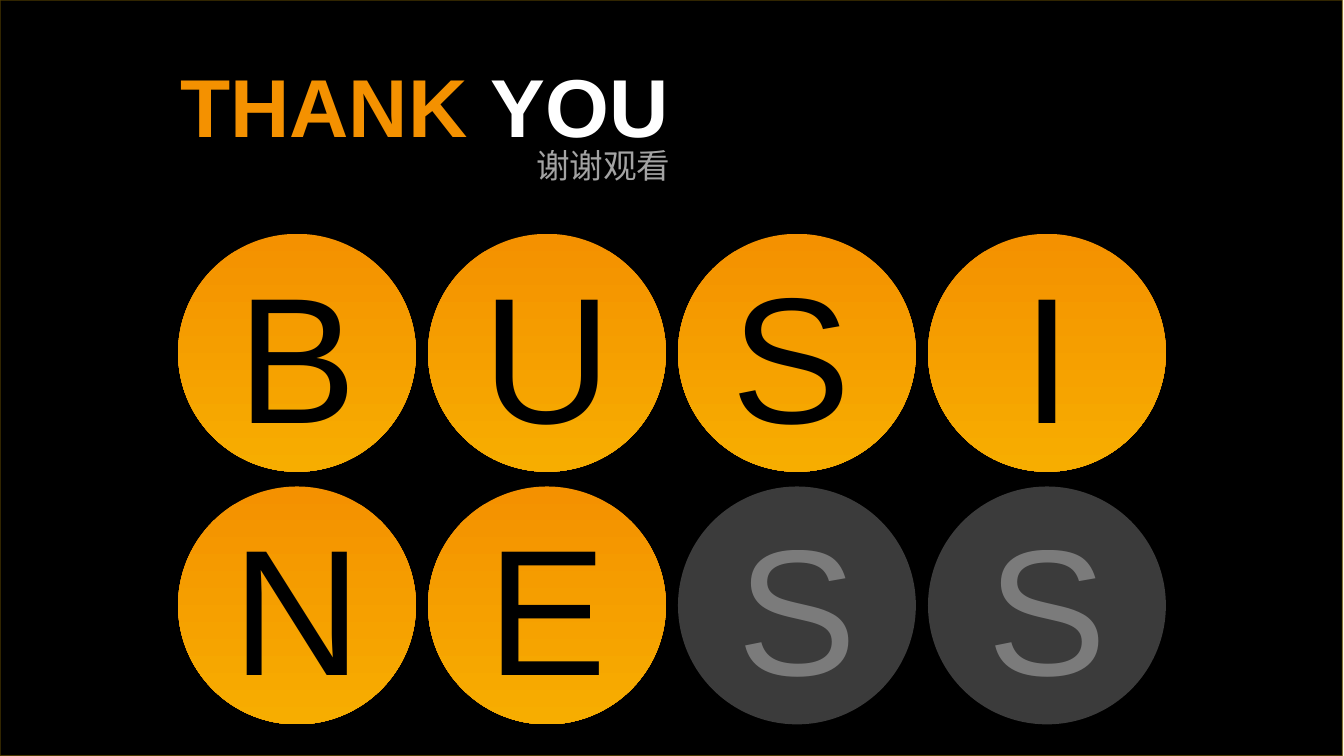
from lxml import etree
from pptx import Presentation
from pptx.dml.color import RGBColor
from pptx.enum.shapes import MSO_SHAPE
from pptx.enum.text import MSO_ANCHOR, MSO_AUTO_SIZE, PP_ALIGN
from pptx.oxml.ns import qn
from pptx.util import Inches, Pt

RECTANGLE, OVAL = MSO_SHAPE.RECTANGLE, MSO_SHAPE.OVAL
TOP = MSO_ANCHOR.TOP
GROW = MSO_AUTO_SIZE.SHAPE_TO_FIT_TEXT
LEFT, CENTER = PP_ALIGN.LEFT, PP_ALIGN.CENTER

BLACK = RGBColor(0x00, 0x00, 0x00)
WHITE = RGBColor(0xFF, 0xFF, 0xFF)
ORANGE = RGBColor(0xF4, 0x91, 0x00)
AMBER = RGBColor(0xF7, 0xAD, 0x00)
GOLD = RGBColor(0xFF, 0xC0, 0x00)

TITLE_RUNS = [("THANK ", ORANGE), ("YOU", WHITE)]
SUBTITLE_RUNS = [("谢谢观看", WHITE)]
LETTER_ROWS = [
    [("B", True), ("U", True), ("S", True), ("I", True)],
    [("N", True), ("E", True), ("S", False), ("S", False)],
]
LETTER_WIDTHS = {"B": 1.1, "U": 1.18, "S": 1.1, "I": 0.58, "N": 1.17, "E": 1.1}
LETTER_SHIFTS = {(0, 2): -0.04}

SLIDE_WIDTH = 10
SLIDE_HEIGHT = SLIDE_WIDTH * 9 / 16
DIAMETER = 1.77
LETTER_HEIGHT = 1.72
COLUMN_STEP, ROW_STEP = 1.86, 1.88
GRID_LEFT = (SLIDE_WIDTH - 3 * COLUMN_STEP - DIAMETER) / 2
GRID_TOP = 1.74


def set_alpha(properties, percent):
    color = properties.find(qn("a:solidFill"))[0]
    etree.SubElement(color, qn("a:alpha")).set("val", str(percent * 1000))


def write(shape, runs, size, font_name, alignment=LEFT, bold=False, alpha=None):
    frame = shape.text_frame
    frame.word_wrap = False
    frame.auto_size = GROW
    frame.vertical_anchor = TOP
    paragraph = frame.paragraphs[0]
    paragraph.alignment = alignment
    for text, color in runs:
        run = paragraph.add_run()
        run.text = text
        run.font.size = Pt(size)
        run.font.name = font_name
        run.font.bold = bold
        run.font.color.rgb = color
        properties = run._r.get_or_add_rPr()
        etree.SubElement(properties, qn("a:ea")).set("typeface", font_name)
        if alpha is not None:
            set_alpha(properties, alpha)


def add_text(slide, box, *arguments, **options):
    shape = slide.shapes.add_textbox(*map(Inches, box))
    write(shape, *arguments, **options)


def add_plain_shape(slide, kind, box):
    shape = slide.shapes.add_shape(kind, *map(Inches, box))
    shape.shadow.inherit = False
    return shape


def add_circle(slide, left, top, lit):
    circle = add_plain_shape(slide, OVAL, (left, top, DIAMETER, DIAMETER))
    circle.line.fill.background()
    if lit:
        circle.fill.gradient()
        circle.fill.gradient_angle = 270
        for stop, color in zip(circle.fill.gradient_stops, (ORANGE, AMBER)):
            stop.color.rgb = color
    else:
        circle.fill.solid()
        circle.fill.fore_color.rgb = WHITE
        set_alpha(circle.element.spPr, 23)


def main():
    presentation = Presentation()
    presentation.slide_width = Inches(SLIDE_WIDTH)
    presentation.slide_height = Inches(SLIDE_HEIGHT)
    slide = presentation.slides.add_slide(presentation.slide_layouts[5])

    title = slide.shapes.title
    title.left, title.top = Inches(1.24), Inches(0.36)
    title.width, title.height = Inches(3.86), Inches(0.84)
    write(title, TITLE_RUNS, 44, "Arial", bold=True)

    backdrop = add_plain_shape(slide, RECTANGLE, (0, 0, 9.99, SLIDE_HEIGHT))
    backdrop.fill.solid()
    backdrop.fill.fore_color.rgb = BLACK
    backdrop.line.color.rgb = GOLD
    backdrop.line.width = Pt(0.75)
    set_alpha(backdrop.element.spPr.find(qn("a:ln")), 30)
    title.element.addprevious(backdrop.element)

    add_text(slide, (3.89, 1.03, 1.21, 0.4), SUBTITLE_RUNS, 18,
             "Noto Sans CJK SC", alpha=63)

    cells = [
        (row, column, letter, lit)
        for row, letters in enumerate(LETTER_ROWS)
        for column, (letter, lit) in enumerate(letters)
    ]
    for row, column, letter, lit in cells:
        add_circle(slide, GRID_LEFT + column * COLUMN_STEP, GRID_TOP + row * ROW_STEP, lit)
    for row, column, letter, lit in cells:
        width = LETTER_WIDTHS[letter]
        center = GRID_LEFT + column * COLUMN_STEP + DIAMETER / 2
        left = center - width / 2 + LETTER_SHIFTS.get((row, column), 0)
        top = GRID_TOP + row * ROW_STEP + (DIAMETER - LETTER_HEIGHT) / 2
        add_text(slide, (left, top, width, LETTER_HEIGHT),
                 [(letter, BLACK if lit else WHITE)], 96, "Arial",
                 alignment=CENTER, alpha=None if lit else 33)

    presentation.save("out.pptx")


if __name__ == "__main__":
    main()
